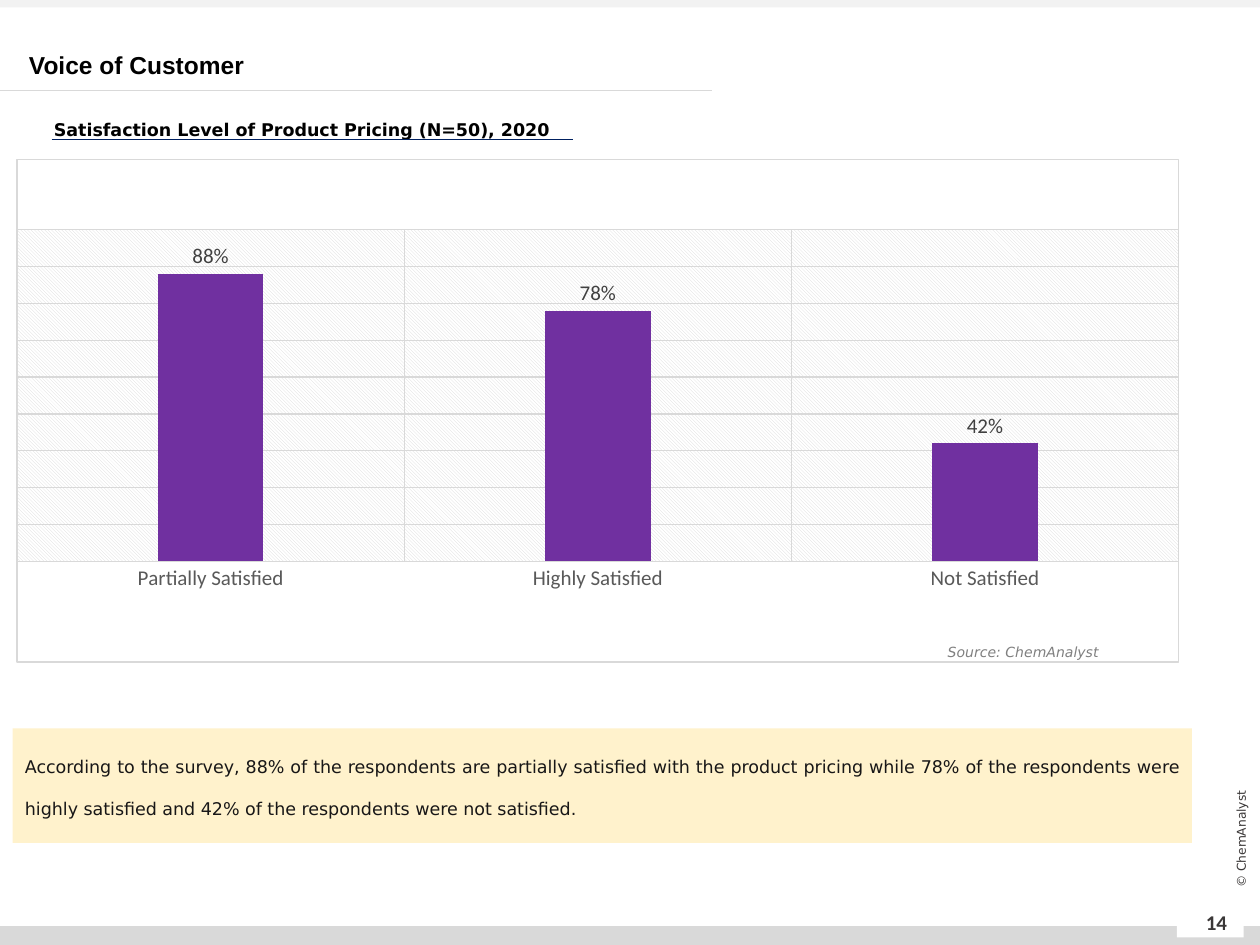
import pptx
import pptx.chart.data
import pptx.dml.color
import pptx.enum.chart
import pptx.enum.shapes
import pptx.enum.text
import pptx.oxml
import pptx.oxml.ns
import pptx.util

RGBColor = pptx.dml.color.RGBColor
Inches, Pt = pptx.util.Inches, pptx.util.Pt
PP_ALIGN = pptx.enum.text.PP_ALIGN
MSO_ANCHOR = pptx.enum.text.MSO_ANCHOR
qn = pptx.oxml.ns.qn

BLACK = RGBColor(0x00, 0x00, 0x00)
WHITE = RGBColor(0xFF, 0xFF, 0xFF)
PALE_GREY = RGBColor(0xF2, 0xF2, 0xF2)
RULE_GREY = RGBColor(0xD9, 0xD9, 0xD9)
SOURCE_GREY = RGBColor(0x80, 0x80, 0x80)
AXIS_GREY = RGBColor(0x59, 0x59, 0x59)
LABEL_GREY = RGBColor(0x40, 0x40, 0x40)
FOOTER_GREY = RGBColor(0x3B, 0x38, 0x38)
NOTE_TEXT = RGBColor(0x18, 0x17, 0x17)
CREAM = RGBColor(0xFF, 0xF2, 0xCC)
NAVY = RGBColor(0x00, 0x20, 0x60)
PURPLE = RGBColor(0x70, 0x30, 0xA0)


class SurveySlide:
    heading_font = "Arial"
    body_font = "DejaVu Sans"
    chart_font = "Calibri"

    def __init__(self, deck):
        self.slide = deck.slides.add_slide(deck.slide_layouts[5])
        self.shapes = self.slide.shapes

    def style_font(self, font, name, size, color, bold=False, italic=False):
        font.name, font.size = name, Pt(size)
        font.bold, font.italic = bold, italic
        font.color.rgb = color

    def fill_text(self, frame, text, size, color, font=None, align=PP_ALIGN.LEFT,
                  anchor=MSO_ANCHOR.TOP, spacing=None, **look):
        frame.word_wrap = True
        frame.vertical_anchor = anchor
        paragraph = frame.paragraphs[0]
        paragraph.text = text
        paragraph.alignment = align
        paragraph.line_spacing = spacing
        self.style_font(paragraph.font, font or self.body_font, size, color, **look)

    def title(self, text, *box):
        title = self.shapes.title
        title.left, title.top, title.width, title.height = map(Inches, box)
        title.text_frame.margin_bottom = 0
        self.fill_text(title.text_frame, text, 14, BLACK, self.heading_font,
                       anchor=MSO_ANCHOR.BOTTOM, bold=True)

    def text(self, text, *box, size, color, margin=None, **look):
        textbox = self.shapes.add_textbox(*map(Inches, box))
        if margin is not None:
            textbox.text_frame.margin_top = textbox.text_frame.margin_bottom = margin
        self.fill_text(textbox.text_frame, text, size, color, **look)
        return textbox

    def block(self, fill, *box):
        block = self.shapes.add_shape(
            pptx.enum.shapes.MSO_SHAPE.RECTANGLE, *map(Inches, box))
        block.shadow.inherit = False
        block.fill.solid()
        block.fill.fore_color.rgb = fill
        block.line.fill.background()
        return block

    def rule(self, left, right, y, color):
        rule = self.shapes.add_connector(
            pptx.enum.shapes.MSO_CONNECTOR.STRAIGHT,
            Inches(left), Inches(y), Inches(right), Inches(y))
        rule.line.color.rgb = color
        rule.line.width = Pt(0.5)
        properties = rule.element.find(qn("p:spPr"))
        properties.append(pptx.oxml.parse_xml(
            f'<a:effectLst {pptx.oxml.ns.nsdecls("a")}/>'))

    def column_chart(self, categories, values, *box):
        data = pptx.chart.data.CategoryChartData(number_format="0%")
        data.categories = categories
        data.add_series("Series 1", values)
        chart = self.shapes.add_chart(
            pptx.enum.chart.XL_CHART_TYPE.COLUMN_CLUSTERED,
            *map(Inches, box), data).chart
        chart.has_title = chart.has_legend = False
        self.style_font(chart.font, self.chart_font, 10, BLACK)

        # Axes and gridlines
        category_axis, value_axis = chart.category_axis, chart.value_axis
        value_axis.visible = False
        value_axis.minimum_scale, value_axis.maximum_scale = 0.1, 1
        value_axis.major_unit = 0.1
        category_axis.major_tick_mark = pptx.enum.chart.XL_TICK_MARK.NONE
        self.style_font(category_axis.tick_labels.font, self.chart_font, 12, AXIS_GREY)
        for axis in (category_axis, value_axis):
            axis.has_major_gridlines = True
        for line in (category_axis.format.line,
                     category_axis.major_gridlines.format.line,
                     value_axis.major_gridlines.format.line):
            line.color.rgb = RULE_GREY
            line.width = Pt(0.75)

        # Columns and their labels
        plot = chart.plots[0]
        plot.gap_width, plot.overlap, plot.vary_by_categories = 267, -43, False
        columns = plot.series[0]
        columns.format.fill.solid()
        columns.format.fill.fore_color.rgb = PURPLE
        labels = columns.data_labels
        labels.show_value = True
        labels.number_format, labels.number_format_is_linked = "0%", False
        labels.position = pptx.enum.chart.XL_LABEL_POSITION.OUTSIDE_END
        self.style_font(labels.font, self.chart_font, 12, LABEL_GREY)
        self.chart_backgrounds(chart)

    def chart_backgrounds(self, chart):
        names = pptx.oxml.ns.nsdecls("c", "a")
        chart_part = chart.element.find(qn("c:chart"))
        plot_area = chart_part.find(qn("c:plotArea"))

        # Fixed inner plot position
        for layout in plot_area.findall(qn("c:layout")):
            plot_area.remove(layout)
        position = "".join(f'<c:{key} val="{value}"/>' for key, value in (
            ("layoutTarget", "inner"), ("xMode", "edge"), ("yMode", "edge"),
            ("x", 0), ("y", 0.14), ("w", 1), ("h", 0.66)))
        plot_area.insert(0, pptx.oxml.parse_xml(
            f"<c:layout {names}><c:manualLayout>{position}</c:manualLayout></c:layout>"))

        # Hatched plot, white frame with a thin border
        plot_area.append(pptx.oxml.parse_xml(
            f'<c:spPr {names}><a:pattFill prst="ltDnDiag">'
            f'<a:fgClr><a:srgbClr val="{RULE_GREY}"/></a:fgClr>'
            f'<a:bgClr><a:srgbClr val="{WHITE}"/></a:bgClr></a:pattFill>'
            '<a:ln><a:noFill/></a:ln></c:spPr>'))
        chart_part.addnext(pptx.oxml.parse_xml(
            f'<c:spPr {names}><a:solidFill><a:srgbClr val="{WHITE}"/></a:solidFill>'
            f'<a:ln w="{Pt(0.75)}"><a:solidFill><a:srgbClr val="{RULE_GREY}"/>'
            '</a:solidFill></a:ln></c:spPr>'))


def main():
    deck = pptx.Presentation()
    deck.slide_width, deck.slide_height = Inches(10), Inches(7.5)
    page = SurveySlide(deck)

    # Page frame
    page.block(RULE_GREY, 0, 7.35, 10, 0.15)
    page.block(PALE_GREY, 0, 0, 10, 0.06)
    page.block(WHITE, 9.34, 7.22, 0.53, 0.22)
    page.rule(0, 5.65, 0.72, RULE_GREY)
    page.text("14", 9.41, 7.12, 0.49, 0.4, size=12, color=FOOTER_GREY,
              font=page.chart_font, bold=True, align=PP_ALIGN.CENTER,
              anchor=MSO_ANCHOR.MIDDLE)
    copyright_line = page.text(
        "© ChemAnalyst", 9.25, 6.58, 1.2, 0.16, size=7, color=FOOTER_GREY,
        margin=0, align=PP_ALIGN.CENTER, anchor=MSO_ANCHOR.MIDDLE)
    copyright_line.rotation = 270

    # Headings
    page.title("Voice of Customer", 0.13, 0.15, 8.45, 0.48)
    page.text("Satisfaction Level of Product Pricing (N=50), 2020",
              0.33, 0.81, 5.93, 0.32, size=10, color=BLACK, bold=True, spacing=1.5)
    page.rule(0.41, 4.55, 1.11, NAVY)

    # Finding
    finding = page.block(CREAM, 0.1, 5.78, 9.36, 0.91)
    page.fill_text(finding.text_frame,
                   "According to the survey, 88% of the respondents are partially satisfied "
                   "with the product pricing while 78% of the respondents were highly "
                   "satisfied and 42% of the respondents were not satisfied.",
                   10, NOTE_TEXT, align=PP_ALIGN.JUSTIFY, spacing=2.0)

    # Survey results
    page.column_chart(("Partially Satisfied", "Highly Satisfied", "Not Satisfied"),
                      (0.88, 0.78, 0.42), 0.13, 1.26, 9.23, 4)
    page.text("Source: ChemAnalyst", 6.41, 5.06, 2.41, 0.24, size=8,
              color=SOURCE_GREY, italic=True, align=PP_ALIGN.RIGHT)

    deck.save("out.pptx")


if __name__ == "__main__":
    main()
